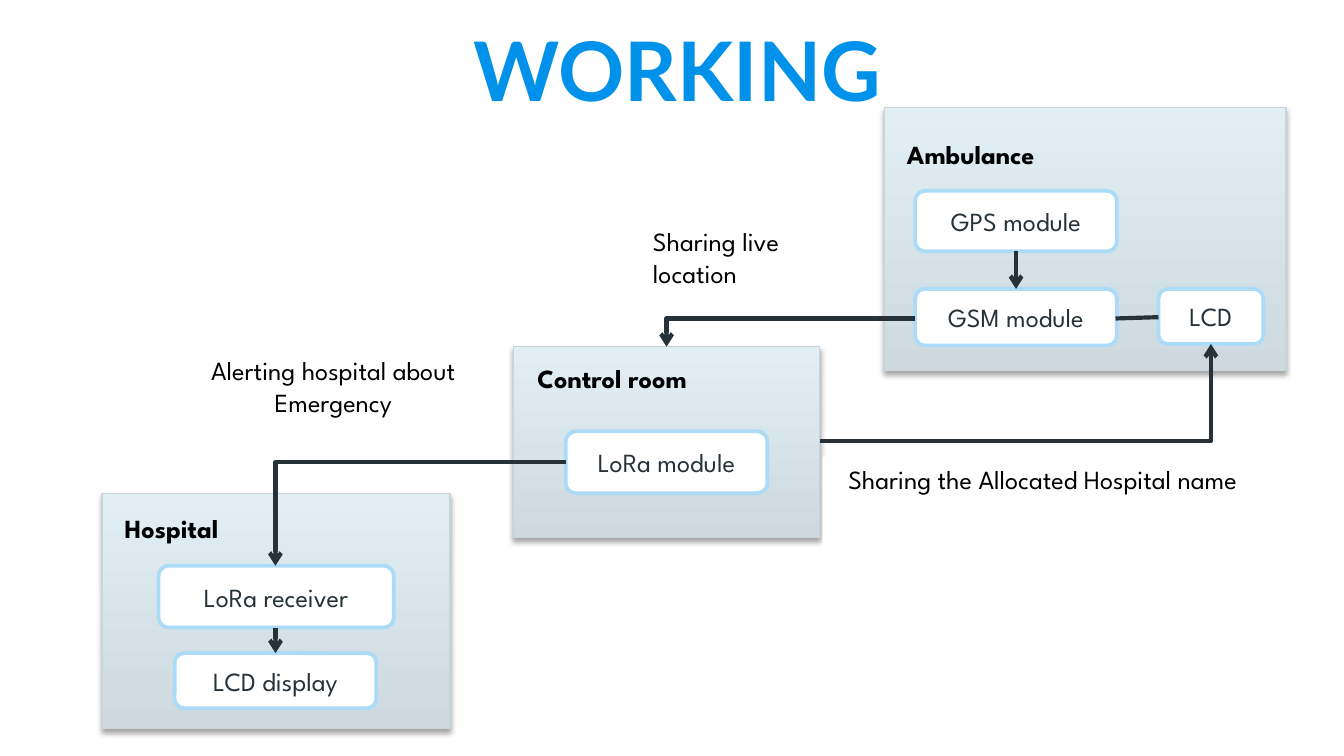
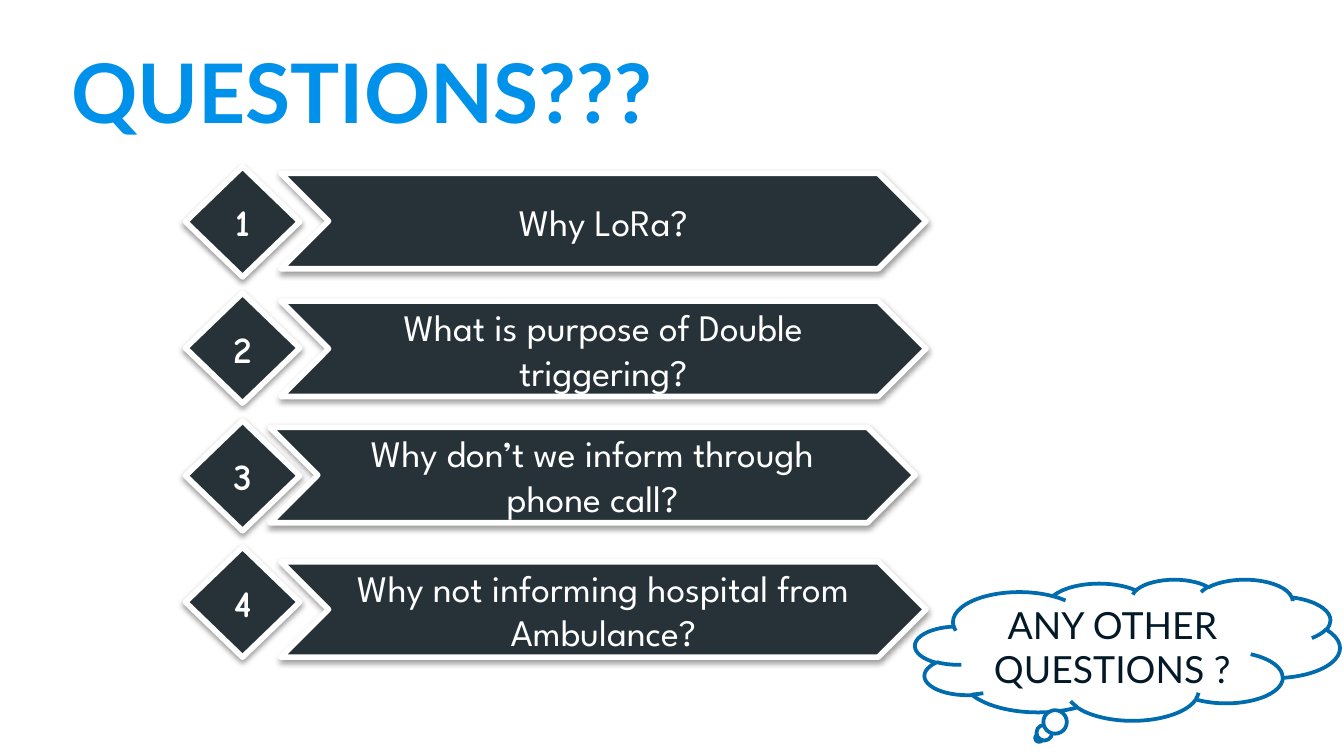
from lxml import etree
from pptx import Presentation
from pptx import util as u
from pptx.dml.color import RGBColor
from pptx.enum import shapes, text
from pptx.oxml.ns import qn

PX = 9144  # EMU in one px, 100 px to the inch

BLUE = RGBColor(0x00, 0x91, 0xEA)
DARK = RGBColor(0x26, 0x32, 0x38)
BLACK = RGBColor(0x00, 0x00, 0x00)
WHITE = RGBColor(0xFF, 0xFF, 0xFF)
PANEL_LOW = RGBColor(0xCD, 0xD9, 0xDE)
PANEL_HIGH = RGBColor(0xE1, 0xEF, 0xF5)
PANEL_EDGE = RGBColor(0xCA, 0xD3, 0xD7)
NODE_EDGE = RGBColor(0xAC, 0xDB, 0xF8)
CLOUD_EDGE = RGBColor(0x00, 0x6B, 0xAD)
CLOUD_TEXT = RGBColor(0x03, 0x19, 0x27)

TITLE = {"name": "Lato", "size": u.Pt(44), "bold": True}
BODY = {"name": "League Spartan", "size": u.Pt(14), "bold": False}
HEADING = {**BODY, "bold": True}
NUMBER = {"name": "Comic Neue", "size": u.Pt(20), "bold": True}
QUESTION = {**BODY, "size": u.Pt(20)}
CLOUD = {"name": "Lato", "size": u.Pt(20), "bold": False}

MSO = shapes.MSO_SHAPE
LEFT, CENTER = text.PP_ALIGN.LEFT, text.PP_ALIGN.CENTER
TOP, MIDDLE, BOTTOM = (text.MSO_ANCHOR.TOP, text.MSO_ANCHOR.MIDDLE,
                       text.MSO_ANCHOR.BOTTOM)


def emu(*lengths):
    return [u.Emu(round(n) * PX) for n in lengths]


# Shared building parts
def write(sp, words, font, color, align=CENTER, anchor=MIDDLE):
    tf = sp.text_frame
    tf.word_wrap = True
    tf.vertical_anchor = anchor
    p = tf.paragraphs[0]
    p.alignment = align
    r = p.add_run()
    r.text = words
    for key, value in font.items():
        setattr(r.font, key, value)
    r.font.color.rgb = color


def add_shadow(sp, alpha, blur, dist):
    effects = sp._element.spPr.find(qn("a:effectLst"))
    shadow = etree.SubElement(effects, qn("a:outerShdw"), {
        "blurRad": str(u.Pt(blur)), "dist": str(u.Pt(dist)),
        "dir": "5400000", "rotWithShape": "0"})
    color = etree.SubElement(shadow, qn("a:srgbClr"), val="000000")
    etree.SubElement(color, qn("a:alpha"), val=str(alpha * 1000))


def add_shape(s, kind, box, fill=WHITE, edge=None, width=2):
    sp = s.shapes.add_shape(kind, *emu(*box))
    sp.shadow.inherit = False
    sp.fill.solid()
    sp.fill.fore_color.rgb = fill
    if edge is None:
        sp.line.fill.background()
    else:
        sp.line.color.rgb = edge
        sp.line.width = u.Pt(width)
    return sp


def add_text(s, box, words, font, color=BLACK, align=LEFT, anchor=TOP):
    sp = s.shapes.add_textbox(*emu(*box))
    write(sp, words, font, color, align, anchor)
    return sp


def add_title(s, box, words, align):
    sp = add_text(s, box, words, TITLE, BLUE, align, BOTTOM)
    sp.text_frame.margin_top, sp.text_frame.margin_bottom = emu(10, 10)


# Parts of the block diagram
def add_panel(s, box):
    sp = add_shape(s, MSO.RECTANGLE, box, edge=PANEL_EDGE, width=0.75)
    sp.fill.gradient()
    sp.fill.gradient_angle = 90
    for stop, color in zip(sp.fill.gradient_stops, (PANEL_LOW, PANEL_HIGH)):
        stop.color.rgb = color
    add_shadow(sp, 35, 3.1, 1.8)


def add_node(s, box, words):
    sp = add_shape(s, MSO.ROUNDED_RECTANGLE, box, edge=NODE_EDGE)
    write(sp, words, BODY, DARK)


def add_note(s, box, words):
    sp = add_shape(s, MSO.RECTANGLE, box)
    write(sp, words, BODY, BLACK, anchor=TOP)


def add_link(s, start, end, bent=False, arrow=True):
    kind = shapes.MSO_CONNECTOR.ELBOW if bent else shapes.MSO_CONNECTOR.STRAIGHT
    c = s.shapes.add_connector(kind, *emu(*start, *end))
    c.line.color.rgb = DARK
    c.line.width = u.Pt(2.25)
    spPr = c._element.spPr
    if bent:  # a single corner
        spPr.find(qn("a:prstGeom")).set("prst", "bentConnector2")
    if arrow:
        etree.SubElement(spPr.find(qn("a:ln")), qn("a:tailEnd"), type="arrow")
    etree.SubElement(spPr, qn("a:effectLst"))


# Parts of the question list
def add_question(s, number, left, top, words):
    diamond_top = 124 + 94.4 * (number - 1)
    parts = (
        (MSO.FLOWCHART_DECISION, (138, diamond_top, 85, 82), str(number), NUMBER),
        (MSO.CHEVRON, (left, top, 480, 71), words, QUESTION),
    )
    for kind, box, label, font in parts:
        sp = add_shape(s, kind, box, DARK, WHITE, 3)
        add_shadow(sp, 38, 3.1, 1.6)
        write(sp, label, font, WHITE)


def build_working(s):
    add_title(s, (185, -2, 638, 100), "WORKING", CENTER)

    # Stations
    for box in ((382, 258, 228, 142), (658, 80, 299, 196), (76, 367, 259, 175)):
        add_panel(s, box)
    for box, words in (
        ((421, 321, 150, 46), "LoRa module"),
        ((681, 142, 150, 45), "GPS module"),
        ((681, 215, 150, 42), "GSM module"),
        ((118, 421, 175, 46), "LoRa receiver"),
        ((130, 486, 150, 41), "LCD display"),
        ((862, 215, 78, 41), "LCD"),
    ):
        add_node(s, box, words)
    for box, words in (
        ((665, 98, 184, 34), "Ambulance"),
        ((390, 265, 191, 34), "Control room"),
        ((83, 376, 177, 34), "Hospital"),
    ):
        add_text(s, box, words, HEADING)

    # Links
    for start, end in (((681, 237), (496, 258)), ((610, 328), (901, 256)),
                       ((421, 344), (205, 421))):
        add_link(s, start, end, bent=True)
    add_link(s, (205, 467), (205, 486))
    add_link(s, (756, 187), (756, 215))

    # Messages
    add_note(s, (130, 259, 236, 69), "Alerting hospital about Emergency")
    add_link(s, (830, 237), (862, 236), arrow=False)
    add_note(s, (612, 340, 328, 80), "Sharing the Allocated Hospital name")
    add_text(s, (476, 163, 173, 57), "Sharing live location", BODY)


def build_questions(s):
    add_title(s, (43, 21, 638, 93), "QUESTIONS???", LEFT)
    for number, (left, top, words) in enumerate((
        (209, 129, "Why LoRa?"),
        (209, 224, "What is purpose of Double triggering?"),
        (201, 318, "Why don’t we inform through phone call?"),
        (209, 418, "Why not informing hospital from Ambulance?"),
    ), 1):
        add_question(s, number, left, top, words)
    cloud = add_shape(s, MSO.CLOUD_CALLOUT, (681, 431, 316, 105), edge=CLOUD_EDGE)
    write(cloud, "ANY OTHER QUESTIONS ?", CLOUD, CLOUD_TEXT)


def main():
    prs = Presentation()
    prs.slide_width = u.Inches(10)
    prs.slide_height = prs.slide_width * 9 // 16
    for build in (build_working, build_questions):
        build(prs.slides.add_slide(prs.slide_layouts[6]))
    prs.save("out.pptx")


if __name__ == "__main__":
    main()
